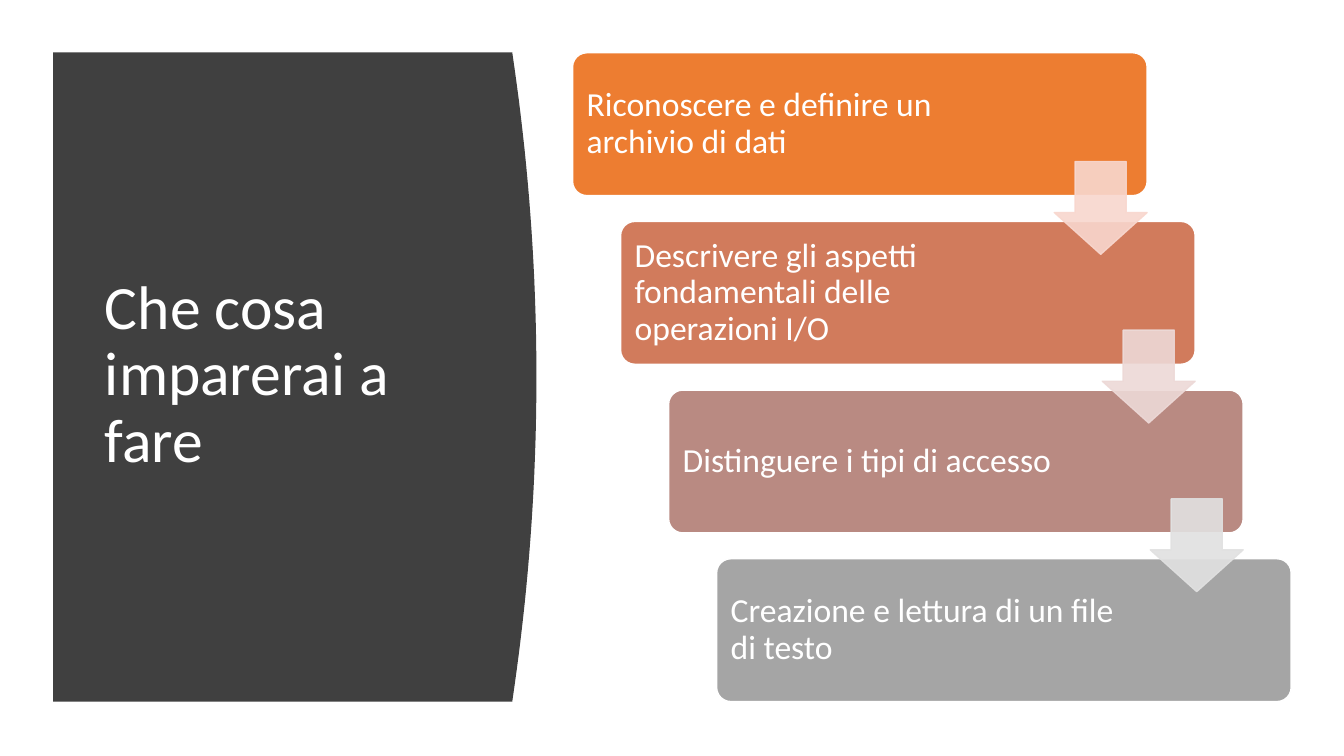
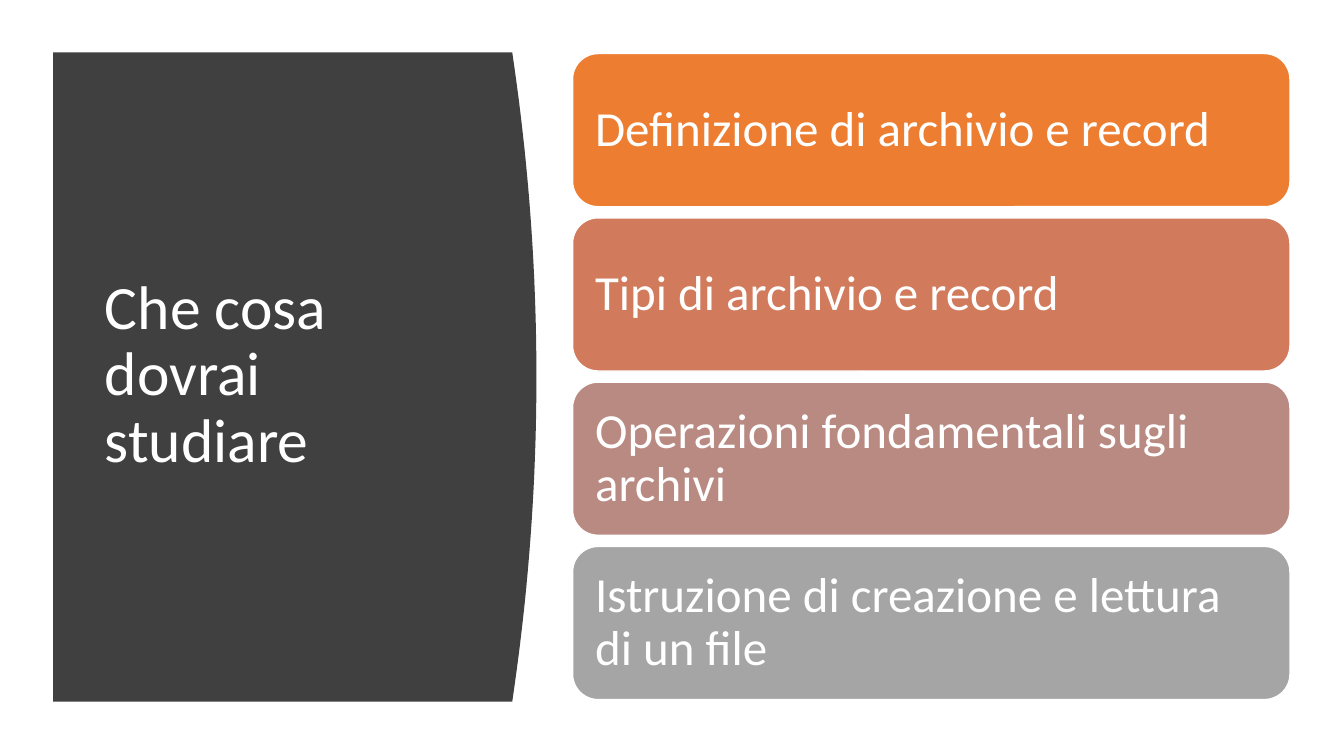
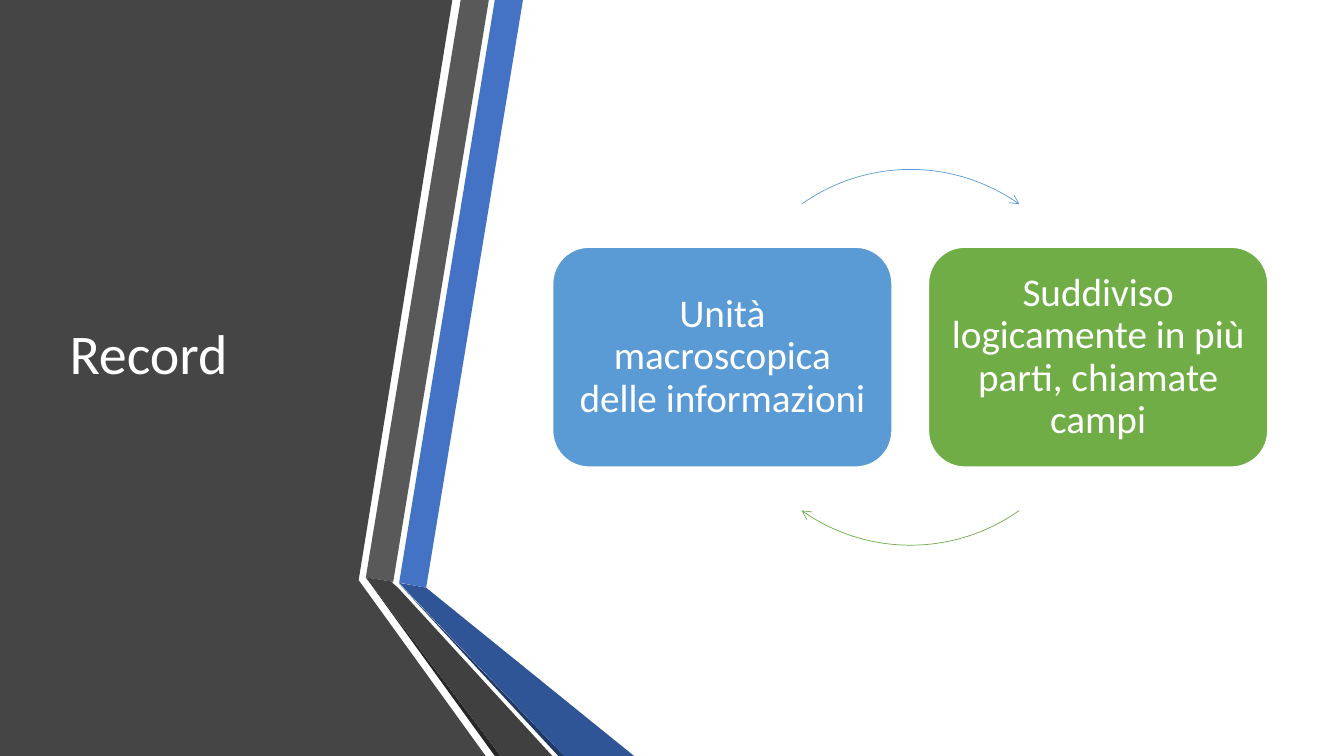
from lxml.etree import SubElement
from pptx import Presentation
from pptx.dml.color import RGBColor
from pptx.enum.shapes import MSO_SHAPE
from pptx.enum.text import MSO_ANCHOR, MSO_AUTO_SIZE, PP_ALIGN
from pptx.oxml.ns import qn
from pptx.util import Cm, Pt

# Content
LEARN_TITLE = "Che cosa imparerai a fare"
LEARN_STEPS = [
    "Riconoscere e definire un archivio di dati",
    "Descrivere gli aspetti fondamentali delle operazioni I/O",
    "Distinguere i tipi di accesso",
    "Creazione e lettura di un file di testo",
]
STUDY_TITLE = "Che cosa dovrai studiare"
STUDY_TOPICS = [
    "Definizione di archivio e record",
    "Tipi di archivio e record",
    "Operazioni fondamentali sugli archivi",
    "Istruzione di creazione e lettura di un file",
]
RECORD_TITLE = "Record"
# Text, colour, start and end angle of the arc leaving the card
RECORD_CARDS = [
    ("Unità macroscopica delle informazioni", "5B9BD5", 234.6, 305.4),
    ("Suddiviso logicamente in più parti, chiamate campi", "70AD47", 54.6, 125.4),
]

# Shared style, lengths in centimetres
FONT = "Calibri"
WHITE = "FFFFFF"
PANEL_COLOR = "404040"
LIST_COLORS = ["ED7D31", "D17B5C", "B98A82", "A5A5A5"]
ARROW_COLORS = ["F8D7CE", "EDD9D7", "E1E1E1"]
LIST_LEFT = 14.43
PANEL_TITLE_BOX = (2.39, 2.82, 9.5, 13.31)
RECORD_TITLE_BOX = (1.5, 1.9, 7.72, 14.17)

# Folded ribbons of the record slide: colour and outline
RIBBONS = [
    ("454545", [(0, 0), (11.4, 0), (9.04, 14.62), (12.24, 19.05), (0, 19.05)]),
    ("4472C4", [(10.06, 14.68), (10.74, 14.81), (13.18, 0), (12.47, 0)]),
    ("595959", [(12.32, 0), (11.61, 0), (9.22, 14.55), (9.91, 14.66)]),
    ("262626", [(9.22, 14.55), (12.47, 19.05), (12.62, 19.05)]),
    ("203864", [(10.06, 14.71), (14.07, 19.05), (14.22, 19.05)]),
    ("2F5597", [(10.06, 14.69), (14.22, 19.05), (15.98, 19.05), (10.74, 14.81)]),
    ("404040", [(13.92, 19.05), (10.03, 14.81), (9.88, 14.68), (9.91, 14.66),
                (9.22, 14.55), (12.62, 19.05)]),
]


def color(value):
    return RGBColor.from_string(value)


def paint(shape, fill, line=None, width=1):
    """Set fill and line; None leaves that part empty."""
    shape.shadow.inherit = False
    for part, value in ((shape.fill, fill), (shape.line.fill, line)):
        if value is None:
            part.background()
        else:
            part.solid()
            part.fore_color.rgb = color(value)
    if line is not None:
        shape.line.width = Pt(width)


def write(shape, text, size, align=PP_ALIGN.LEFT):
    frame = shape.text_frame
    frame.word_wrap = True
    frame.auto_size = MSO_AUTO_SIZE.NONE
    frame.vertical_anchor = MSO_ANCHOR.MIDDLE
    paragraph = frame.paragraphs[0]
    paragraph.alignment = align
    paragraph.line_spacing = 0.9
    run = paragraph.add_run()
    run.text = text
    run.font.name = FONT
    run.font.size = Pt(size)
    run.font.color.rgb = color(WHITE)


def add_title(slide, text, size, box):
    title = slide.shapes.title
    title.left, title.top, title.width, title.height = map(Cm, box)
    write(title, text, size)
    slide.shapes.element.append(title.element)  # bring in front of the panel


def add_polygon(slide, points, fill):
    corners = [(Cm(x), Cm(y)) for x, y in points]
    builder = slide.shapes.build_freeform(*corners[0], scale=1.0)
    builder.add_line_segments(corners[1:], close=True)
    paint(builder.convert_to_shape(), fill)


def add_preset(slide, kind, box, fill, line, width=1, adjustments=()):
    shape = slide.shapes.add_shape(kind, *map(Cm, box))
    for index, value in enumerate(adjustments):
        shape.adjustments[index] = value
    paint(shape, fill, line, width)
    return shape


def add_card(slide, box, text, size, fill, inset, right_inset=None,
             align=PP_ALIGN.LEFT, line_width=1, adjustments=()):
    card = add_preset(slide, MSO_SHAPE.ROUNDED_RECTANGLE, box, fill, WHITE,
                      line_width, adjustments)
    frame = card.text_frame
    frame.margin_left = frame.margin_top = frame.margin_bottom = Cm(inset)
    frame.margin_right = Cm(right_inset or inset)
    write(card, text, size, align)


def add_panel_slide(presentation, title):
    """Slide with the dark panel whose right side bulges as a parabola."""
    slide = presentation.slides.add_slide(presentation.slide_layouts[5])
    left, top, right, bottom, bulge, parts = 1.34, 1.32, 12.91, 17.68, 0.61, 40
    points = [(left, top)]
    for index in range(parts + 1):
        share = index / parts
        points.append((right + bulge * 4 * share * (1 - share),
                       top + (bottom - top) * share))
    points.append((left, bottom))
    add_polygon(slide, points, PANEL_COLOR)
    add_title(slide, title, 44, PANEL_TITLE_BOX)
    return slide


def add_learn_slide(presentation):
    slide = add_panel_slide(presentation, LEARN_TITLE)
    top, step_x, step_y = 1.33, 1.21, 4.25
    # Staircase of steps
    for index, (text, fill) in enumerate(zip(LEARN_STEPS, LIST_COLORS)):
        box = (LIST_LEFT + index * step_x, top + index * step_y, 14.48, 3.6)
        add_card(slide, box, text, 24, fill, 0.25, right_inset=3.8, adjustments=[0.1])
    # Translucent arrows between steps
    for index, fill in enumerate(ARROW_COLORS):
        box = (LIST_LEFT + 12.14 + index * step_x, top + 2.74 + index * step_y, 2.34, 2.34)
        arrow = add_preset(slide, MSO_SHAPE.DOWN_ARROW, box, fill, fill,
                           adjustments=[0.45, 0.55])
        arrow.adjustments[0], arrow.adjustments[1] = 0.55, 0.45
        for tint in arrow.element.spPr.iter(qn("a:srgbClr")):
            SubElement(tint, qn("a:alpha"), val="90000")


def add_study_slide(presentation):
    slide = add_panel_slide(presentation, STUDY_TITLE)
    for index, (text, fill) in enumerate(zip(STUDY_TOPICS, LIST_COLORS)):
        box = (LIST_LEFT, 1.35 + index * 4.14, 18.08, 3.86)
        add_card(slide, box, text, 35, fill, 0.38)


def add_record_slide(presentation):
    slide = presentation.slides.add_slide(presentation.slide_layouts[5])
    for fill, points in RIBBONS:
        add_polygon(slide, points, fill)
    add_title(slide, RECORD_TITLE, 40, RECORD_TITLE_BOX)
    # Two cards joined by a cycle of arcs
    for index, (text, fill, start, end) in enumerate(RECORD_CARDS):
        box = (13.92 + index * 9.47, 6.22, 8.57, 5.56)
        add_card(slide, box, text, 28, fill, 0.3, align=PP_ALIGN.CENTER, line_width=1.5)
        # Angles are stored in 60000ths of a degree, adjustments in 100000ths
        arc = add_preset(slide, MSO_SHAPE.ARC, (18.21, 4.27, 9.47, 9.47), None, fill, 0.5,
                         adjustments=[start * 0.6, end * 0.6])
        SubElement(arc.line._get_or_add_ln(), qn("a:tailEnd"), type="arrow")


def main():
    presentation = Presentation()
    presentation.slide_width, presentation.slide_height = Cm(33.87), Cm(19.05)
    add_learn_slide(presentation)
    add_study_slide(presentation)
    add_record_slide(presentation)
    presentation.save("out.pptx")


if __name__ == "__main__":
    main()
